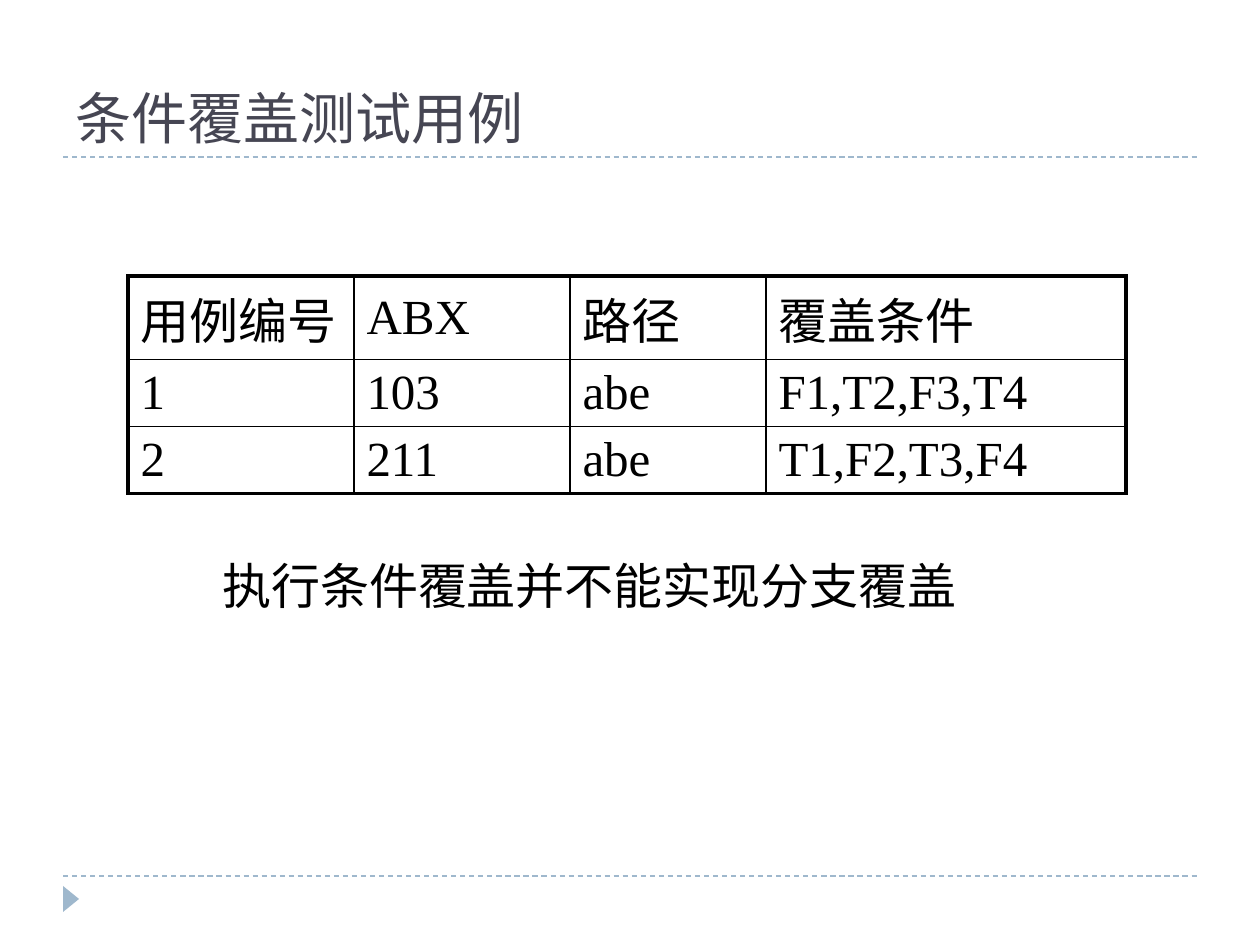
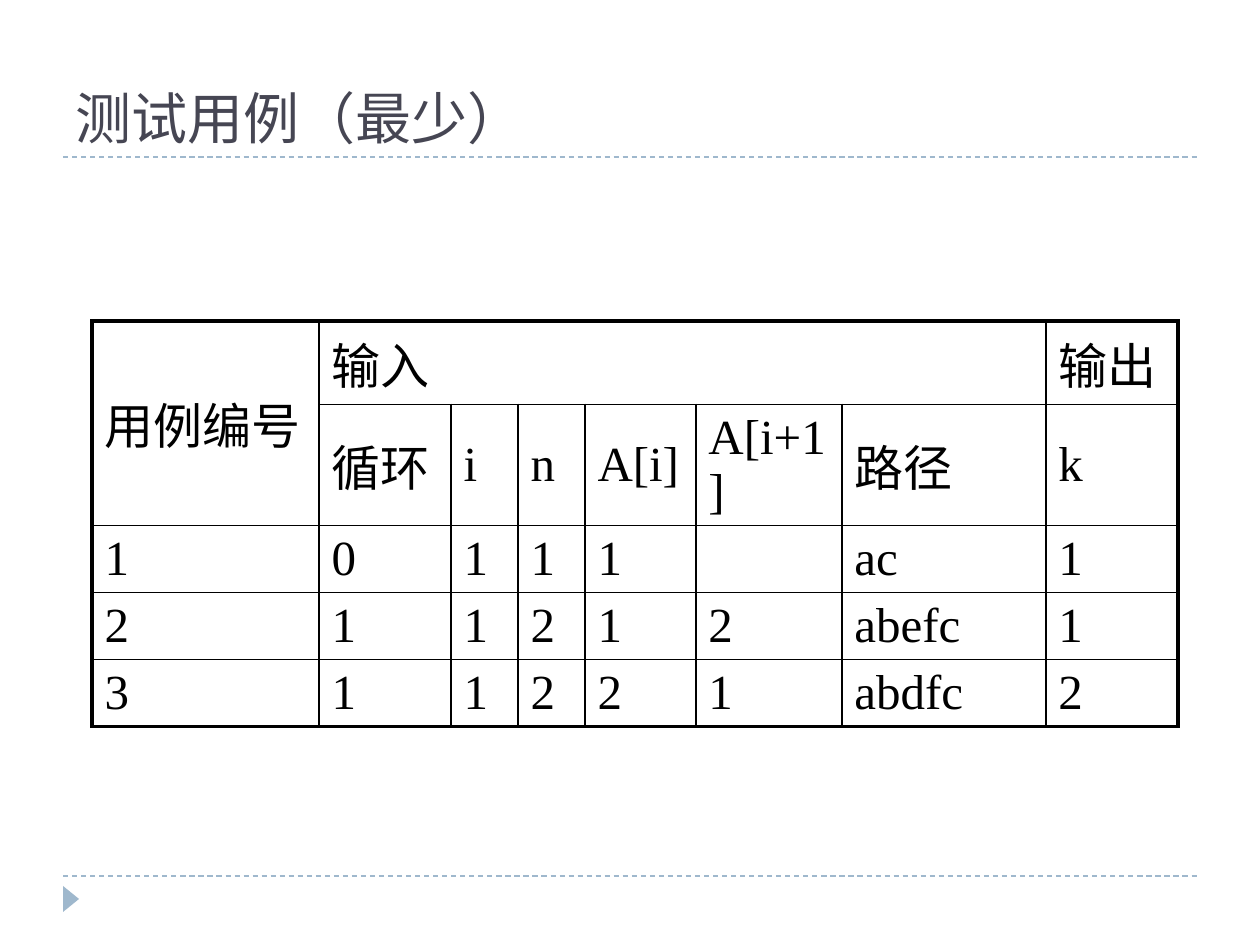
from dataclasses import dataclass

from lxml.etree import SubElement
from pptx import Presentation
from pptx.dml.color import RGBColor
from pptx.enum.dml import MSO_LINE_DASH_STYLE as Dash
from pptx.enum.shapes import MSO_CONNECTOR as Connector, MSO_SHAPE as Shape
from pptx.enum.text import MSO_ANCHOR as Anchor, MSO_AUTO_SIZE as AutoSize, PP_ALIGN as Align
from pptx.oxml.ns import qn
from pptx.util import Emu, Pt

PX_PER_INCH = 126


def px(length):
    """Turn whole pixels into EMU."""
    return Emu(round(length * 914400 / PX_PER_INCH))


@dataclass(frozen=True)
class Theme:
    """Colours, fonts, type sizes and line widths shared by the slides."""
    heading: str = "464653"
    accent: str = "9FB8CD"
    ink: str = "000000"
    cjk_font: str = "Noto Sans CJK SC"
    table_font: str = "Times New Roman"
    note_font: str = "Calibri"
    title_size: int = 32
    body_size: int = 28
    rule_width: float = 0.75
    inner_border: float = 1
    outer_border: float = 2.25


class Deck:
    """Holds the theme, the presentation and the current slide."""

    def __init__(self, theme, width, height):
        """Start an empty presentation of the given size."""
        self.theme = theme
        self.prs = Presentation()
        self.prs.slide_width, self.prs.slide_height = px(width), px(height)
        self.slide = None

    def style(self, paragraph, font_name, size, colour, align=Align.LEFT):
        """Set the type of a whole paragraph."""
        paragraph.alignment = align
        font = paragraph.font
        font.size = Pt(size)
        font.color.rgb = RGBColor.from_string(colour)
        font.name = font_name
        defaults = paragraph._p.pPr.find(qn("a:defRPr"))
        SubElement(defaults, qn("a:ea"), typeface=self.theme.cjk_font)

    def new_slide(self, heading):
        """Add a slide with its title, rules and corner marker."""
        theme = self.theme
        self.slide = self.prs.slides.add_slide(self.prs.slide_layouts[5])
        for y in (876, 157):
            self.rule(63, 1197, y)
        self.marker(58, 891, 26, 16)
        title = self.slide.shapes.title
        title.left, title.top, title.width, title.height = map(px, (63, 21, 1134, 136))
        frame = title.text_frame
        frame.text = heading
        frame.auto_size = AutoSize.NONE
        frame.vertical_anchor = Anchor.BOTTOM
        self.style(frame.paragraphs[0], theme.cjk_font, theme.title_size, theme.heading)

    def rule(self, left, right, y):
        """Draw a dashed horizontal line."""
        rule = self.slide.shapes.add_connector(
            Connector.STRAIGHT, px(left), px(y), px(right), px(y))
        rule.line.color.rgb = RGBColor.from_string(self.theme.accent)
        rule.line.width = Pt(self.theme.rule_width)
        rule.line.dash_style = Dash.DASH
        SubElement(rule._element.spPr, qn("a:effectLst"))

    def marker(self, *box):
        """Draw the triangle that points right."""
        marker = self.slide.shapes.add_shape(Shape.ISOSCELES_TRIANGLE, *map(px, box))
        marker.rotation = 90
        marker.shadow.inherit = False
        marker.fill.solid()
        marker.fill.fore_color.rgb = RGBColor.from_string(self.theme.accent)
        marker.line.fill.background()

    def note(self, text, *box):
        """Add a justified line of body text."""
        theme = self.theme
        frame = self.slide.shapes.add_textbox(*map(px, box)).text_frame
        frame.word_wrap = True
        frame.auto_size = AutoSize.SHAPE_TO_FIT_TEXT
        frame.text = text
        self.style(frame.paragraphs[0], theme.note_font, theme.body_size, theme.ink,
                   Align.JUSTIFY)

    def border(self, cell, side, width):
        """Draw one border of a table cell."""
        line = SubElement(cell._tc.get_or_add_tcPr(), qn(f"a:ln{side}"), w=str(Pt(width)))
        fill = SubElement(line, qn("a:solidFill"))
        SubElement(fill, qn("a:srgbClr"), val=self.theme.ink)

    def table(self, left, top, widths, heights, rows, merges=()):
        """Add a ruled table with a heavier outer frame."""
        theme = self.theme
        table = self.slide.shapes.add_table(
            len(heights), len(widths), px(left), px(top),
            px(sum(widths)), px(sum(heights))).table
        table.first_row = table.horz_banding = False
        for column, width in zip(table.columns, widths):
            column.width = px(width)
        for row, height in zip(table.rows, heights):
            row.height = px(height)
        last_row, last_column = len(heights) - 1, len(widths) - 1
        for r, texts in enumerate(rows):
            for c, text in enumerate(texts):
                cell = table.cell(r, c)
                outer = {"L": c == 0, "R": c == last_column, "T": r == 0, "B": r == last_row}
                for side, is_outer in outer.items():
                    self.border(cell, side,
                                theme.outer_border if is_outer else theme.inner_border)
                cell.fill.background()
                cell.vertical_anchor = Anchor.MIDDLE
                cell.text = text
                self.style(cell.text_frame.paragraphs[0], theme.table_font,
                           theme.body_size, theme.ink)
        for first, last in merges:
            table.cell(*first).merge(table.cell(*last))


def main():
    """Build both slides and save them."""
    deck = Deck(Theme(), 1260, 945)

    deck.new_slide("条件覆盖测试用例")
    deck.table(128, 276, [226, 216, 196, 360], [83, 67, 67], [
        ["用例编号", "ABX", "路径", "覆盖条件"],
        ["1", "103", "abe", "F1,T2,F3,T4"],
        ["2", "211", "abe", "T1,F2,T3,F4"],
    ])
    deck.note("执行条件覆盖并不能实现分支覆盖", 210, 549, 808, 72)

    deck.new_slide("测试用例（最少）")
    deck.table(92, 321, [227, 132, 67, 67, 111, 146, 204, 132], [83, 121, 67, 67, 67], [
        ["用例编号", "输入", "", "", "", "", "", "输出"],
        ["", "循环", "i", "n", "A[i]", "A[i+1]", "路径", "k"],
        ["1", "0", "1", "1", "1", "", "ac", "1"],
        ["2", "1", "1", "2", "1", "2", "abefc", "1"],
        ["3", "1", "1", "2", "2", "1", "abdfc", "2"],
    ], merges=[((0, 0), (1, 0)), ((0, 1), (0, 6))])

    deck.prs.save("out.pptx")


if __name__ == "__main__":
    main()
